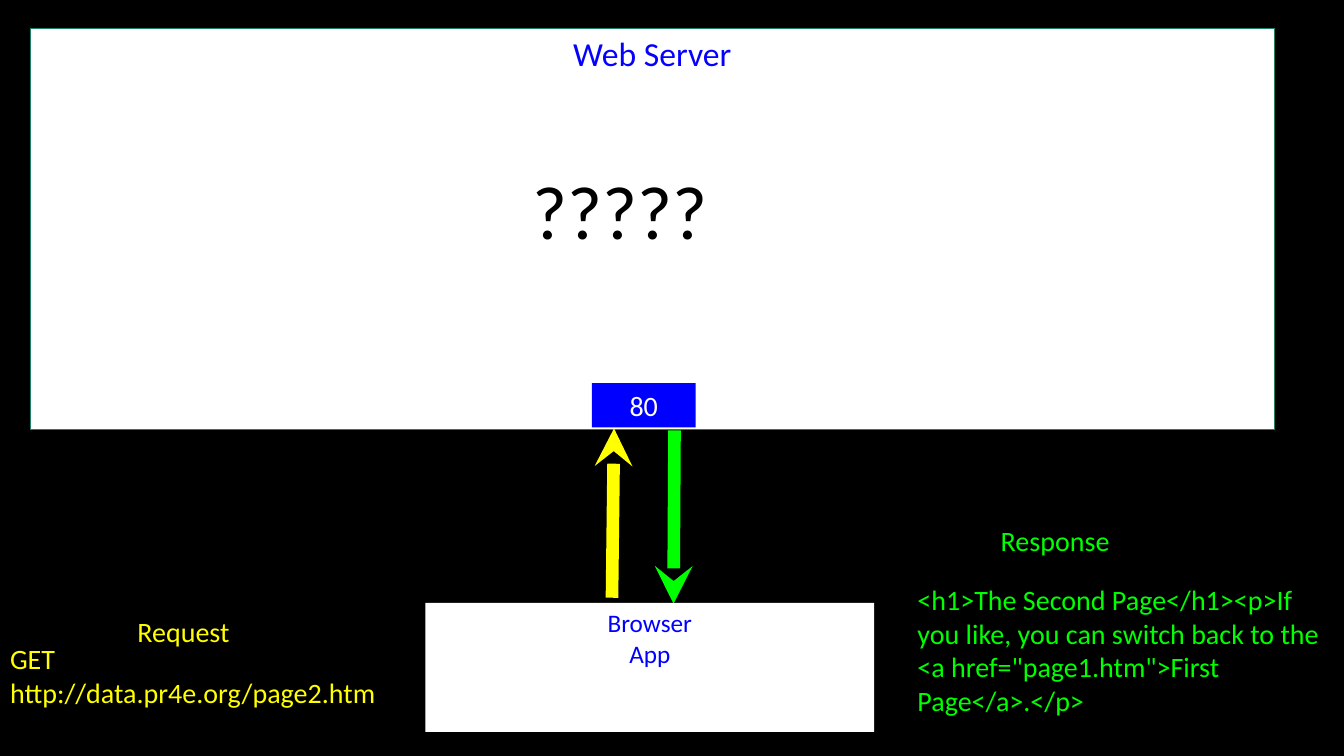
import pptx
import pptx.util
import pptx.dml.color
import pptx.enum.shapes
import pptx.enum.text
import pptx.oxml.ns
import lxml.etree

Inches = pptx.util.Inches
Align = pptx.enum.text.PP_ALIGN
Anchor = pptx.enum.text.MSO_ANCHOR

COLORS = {
    "background": "000000",
    "panel": "FFFFFF",
    "server_line": "1E8168",
    "server_title": "0500FF",
    "blue": "0000FF",
    "request": "FFFF00",
    "response": "00FF00",
    "black": "000000",
}


def rgb(name):
    return pptx.dml.color.RGBColor.from_string(COLORS[name])


def write_text(shape, text, size, color, align=Align.LEFT, anchor=Anchor.TOP,
               wrap=True, flush=False):
    """Fill a shape with one paragraph per line; flush removes the insets."""
    frame = shape.text_frame
    frame.text = text
    frame.word_wrap = wrap
    frame.vertical_anchor = anchor
    if flush:
        frame.margin_left = frame.margin_right = 0
        frame.margin_top = frame.margin_bottom = 0
    for paragraph in frame.paragraphs:
        paragraph.alignment = align
        paragraph.font.name = "Calibri"
        paragraph.font.size = pptx.util.Pt(size)
        paragraph.font.color.rgb = rgb(color)


def add_box(slide, left, top, width, height, fill, text, line=None, **text_format):
    box = slide.shapes.add_shape(
        pptx.enum.shapes.MSO_SHAPE.RECTANGLE,
        Inches(left), Inches(top), Inches(width), Inches(height))
    box.shadow.inherit = False
    box.fill.solid()
    box.fill.fore_color.rgb = rgb(fill)
    if line:
        box.line.color.rgb = rgb(line)
        box.line.width = pptx.util.Pt(1)
    else:
        box.line.fill.background()
    write_text(box, text, align=Align.CENTER, **text_format)


def add_label(slide, left, top, width, height, text, **text_format):
    label = slide.shapes.add_textbox(
        Inches(left), Inches(top), Inches(width), Inches(height))
    write_text(label, text, **text_format)


def add_arrow(slide, start, end, color):
    arrow = slide.shapes.add_connector(
        pptx.enum.shapes.MSO_CONNECTOR.STRAIGHT,
        *(Inches(value) for value in start + end))
    arrow.line.color.rgb = rgb(color)
    arrow.line.width = pptx.util.Pt(9)
    qn = pptx.oxml.ns.qn
    lxml.etree.SubElement(arrow.line._get_or_add_ln(), qn("a:tailEnd"), type="stealth")
    lxml.etree.SubElement(arrow._element.spPr, qn("a:effectLst"))


def main():
    deck = pptx.Presentation()
    deck.slide_width, deck.slide_height = Inches(13.33), Inches(7.5)
    slide = deck.slides.add_slide(deck.slide_layouts[6])
    slide.background.fill.solid()
    slide.background.fill.fore_color.rgb = rgb("background")

    add_box(slide, 0.3, 0.28, 12.34, 3.98, "panel", "Web Server",
            line="server_line", size=24, color="server_title")
    add_arrow(slide, (6.07, 5.93), (6.09, 4.25), "request")
    add_arrow(slide, (6.69, 4.27), (6.68, 5.99), "response")
    add_label(slide, 9.1, 5.14, 4.03, 2.61,
              '<h1>The Second Page</h1><p>If you like, you can switch back to the '
              '<a href="page1.htm">First Page</a>.</p>',
              size=20, color="response", anchor=Anchor.MIDDLE, flush=True)
    add_box(slide, 5.87, 3.8, 1.03, 0.44, "blue", "80",
            size=20, color="panel", anchor=Anchor.MIDDLE, flush=True)
    add_label(slide, 1.26, 6.05, 1.12, 0.44, "Request",
              size=20, color="request", align=Align.CENTER, wrap=False)
    add_label(slide, 9.82, 5.14, 1.29, 0.44, "Response",
              size=20, color="response", align=Align.CENTER, wrap=False)
    add_box(slide, 4.22, 5.98, 4.45, 1.28, "panel", "Browser\nApp",
            size=18, color="blue")
    add_label(slide, 0.1, 6.48, 4.12, 0.44, "GET http://data.pr4e.org/page2.htm",
              size=20, color="request", anchor=Anchor.MIDDLE, flush=True)
    add_label(slide, 5.18, 1.58, 1.96, 1.01, "?????",
              size=54, color="black", wrap=False)

    deck.save("out.pptx")


if __name__ == "__main__":
    main()
